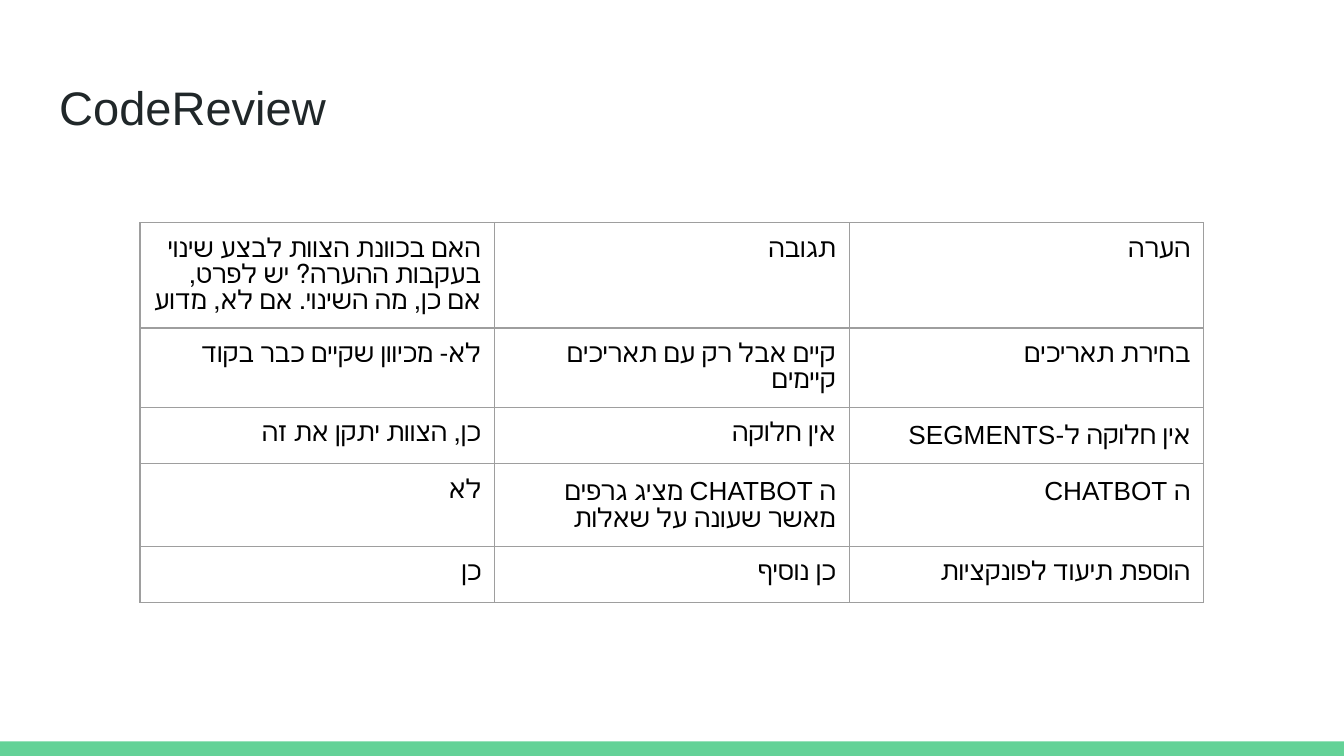
from dataclasses import dataclass

import pptx
import pptx.dml.color
import pptx.enum.shapes
import pptx.enum.text
import pptx.oxml
import pptx.oxml.ns
import pptx.util
from pptx.util import Pt


@dataclass(frozen=True)
class Theme:
    """Colours, font and type sizes of the slide."""

    ink: str = "202729"
    body: str = "000000"
    accent: str = "63D297"
    grid: str = "9E9E9E"
    font: str = "Arial"
    title_size: float = 25.2
    body_size: float = 14
    inset: float = 7.2
    grid_width: float = 0.75


THEME = Theme()

REVIEW_ROWS = [
    ("האם בכוונת הצוות לבצע שינוי בעקבות ההערה? יש לפרט, אם כן, מה השינוי. אם לא, מדוע", "תגובה", "הערה"),
    ("לא- מכיוון שקיים כבר בקוד", "קיים אבל רק עם תאריכים קיימים", "בחירת תאריכים"),
    ("כן, הצוות יתקן את זה", "אין חלוקה", "אין חלוקה ל-SEGMENTS"),
    ("לא", "ה CHATBOT מציג גרפים מאשר שעונה על שאלות", "ה CHATBOT"),
    ("כן", "כן נוסיף", "הוספת תיעוד לפונקציות"),
]


def rgb(value):
    """Turn a hex string into a colour."""
    return pptx.dml.color.RGBColor.from_string(value)


def set_insets(holder):
    """Give a text frame or cell equal margins on all sides."""
    for side in ("left", "top", "right", "bottom"):
        setattr(holder, f"margin_{side}", Pt(THEME.inset))


def add_text(paragraph, text, size, color):
    """Add one formatted run to a paragraph."""
    run = paragraph.add_run()
    run.text = text
    run.font.name = THEME.font
    run.font.size = Pt(size)
    run.font.bold = False
    run.font.color.rgb = rgb(color)


def add_borders(cell):
    """Draw the grid line on all four sides of a cell."""
    properties = cell._tc.get_or_add_tcPr()
    for position, side in enumerate(("lnL", "lnR", "lnT", "lnB")):
        border = pptx.oxml.parse_xml(
            f'<a:{side} {pptx.oxml.ns.nsdecls("a")} w="{Pt(THEME.grid_width)}">'
            f'<a:solidFill><a:srgbClr val="{THEME.grid}"/></a:solidFill></a:{side}>'
        )
        properties.insert(position, border)


def add_footer_band(slide, left, top, width, height):
    """Fill the box with the accent band."""
    band = slide.shapes.add_shape(
        pptx.enum.shapes.MSO_SHAPE.RECTANGLE, Pt(left), Pt(top), Pt(width), Pt(height)
    )
    band.shadow.inherit = False
    band.fill.solid()
    band.fill.fore_color.rgb = rgb(THEME.accent)
    band.line.fill.background()


def place_title(slide, left, top, width, height):
    """Move the title placeholder into the box and write the heading."""
    title = slide.shapes.title
    title.left, title.top = Pt(left), Pt(top)
    title.width, title.height = Pt(width), Pt(height)
    frame = title.text_frame
    frame.word_wrap = True
    frame.auto_size = pptx.enum.text.MSO_AUTO_SIZE.NONE
    frame.vertical_anchor = pptx.enum.text.MSO_ANCHOR.TOP
    set_insets(frame)
    heading = frame.paragraphs[0]
    heading.alignment = pptx.enum.text.PP_ALIGN.LEFT
    add_text(heading, "CodeReview", THEME.title_size, THEME.ink)


def add_review_table(slide, left, top, width, height):
    """Lay the review remarks out as an even right-to-left grid."""
    frame = slide.shapes.add_table(
        len(REVIEW_ROWS), len(REVIEW_ROWS[0]), Pt(left), Pt(top), Pt(width), Pt(height)
    )
    review = frame.table
    review.first_row = False
    review.horz_banding = False
    for row_index, remarks in enumerate(REVIEW_ROWS):
        for column_index, remark in enumerate(remarks):
            cell = review.cell(row_index, column_index)
            set_insets(cell)
            cell.fill.background()
            add_borders(cell)
            paragraph = cell.text_frame.paragraphs[0]
            paragraph.alignment = pptx.enum.text.PP_ALIGN.RIGHT
            paragraph._p.get_or_add_pPr().set("rtl", "1")
            add_text(paragraph, remark, THEME.body_size, THEME.body)


def main():
    """Build and save the slide."""
    deck = pptx.Presentation()
    deck.slide_width, deck.slide_height = Pt(720), Pt(405)
    slide = deck.slides.add_slide(deck.slide_layouts[5])
    add_footer_band(slide, 0, 397.2, 720, 7.8)
    place_title(slide, 24.5, 35, 671, 45.1)
    add_review_table(slide, 75, 119.25, 570, 150)
    deck.save("out.pptx")


if __name__ == "__main__":
    main()
